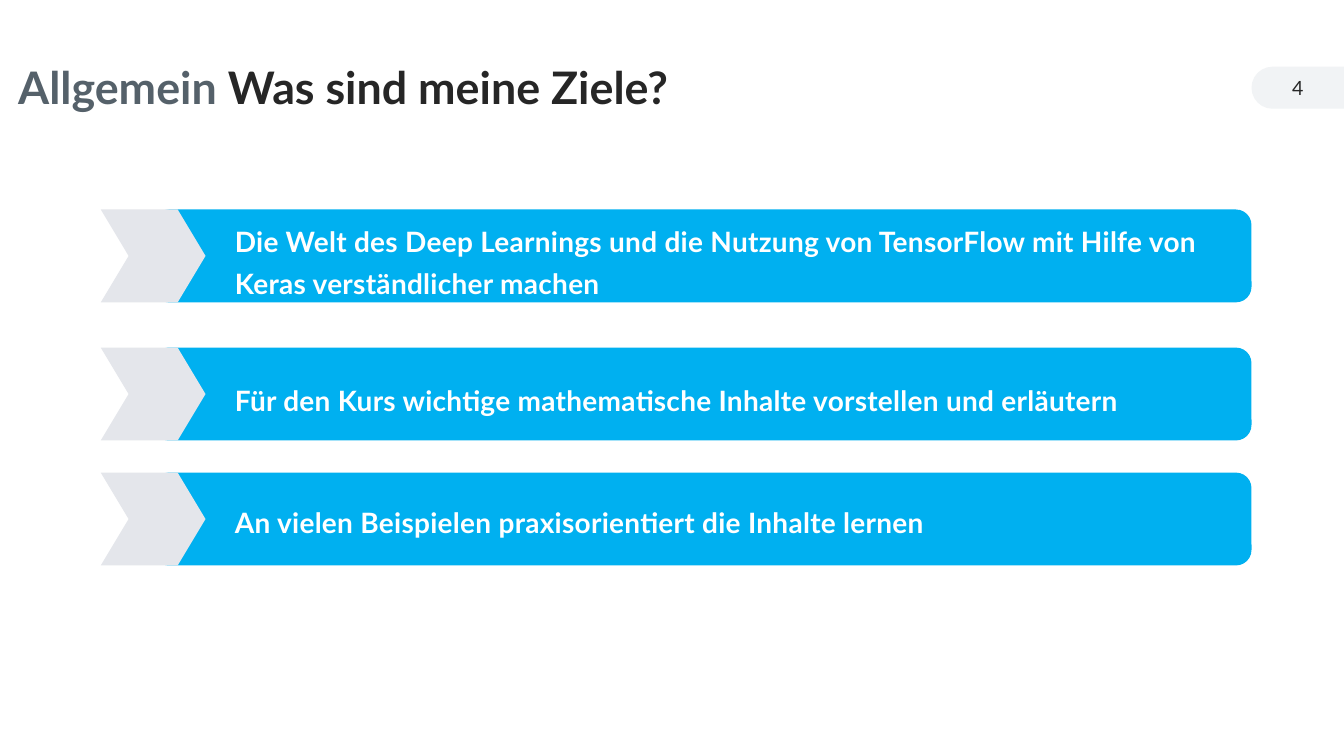
import pptx
import pptx.dml.color
import pptx.enum.shapes
import pptx.enum.text
import pptx.util

Cm = pptx.util.Cm
SHAPE = pptx.enum.shapes.MSO_SHAPE
ALIGN = pptx.enum.text.PP_ALIGN

COLORS = {
    "badge": "F1F3F5",
    "dark": "262626",
    "slate": "55616A",
    "bar": "00B0F0",
    "chevron": "E4E6EB",
    "white": "FFFFFF",
}
FONT = "Lato"

# (top of the row, vertical shift of its text, text), lengths in cm
GOALS = [
    (5.28, 0.05, "Die Welt des Deep Learnings und die Nutzung von TensorFlow "
                 "mit Hilfe von Keras verständlicher machen"),
    (8.76, 0.05, "Für den Kurs wichtige mathematische Inhalte vorstellen und erläutern"),
    (11.91, -0.03, "An vielen Beispielen praxisorientiert die Inhalte lernen"),
]


def rgb(name):
    return pptx.dml.color.RGBColor.from_string(COLORS[name])


def add_block(s, kind, box, color, adj):
    """Add a filled preset shape without line or shadow."""
    sp = s.shapes.add_shape(kind, *map(Cm, box))
    sp.shadow.inherit = False
    sp.fill.solid()
    sp.fill.fore_color.rgb = rgb(color)
    sp.line.fill.background()
    sp.adjustments[0] = adj
    return sp


def add_text(s, box, runs, size, bold=False, tracking=None, **paragraph_format):
    """Add a middle-anchored paragraph made of (text, color) runs."""
    tf = s.shapes.add_textbox(*map(Cm, box)).text_frame
    frame_format = {
        "word_wrap": True,
        "vertical_anchor": pptx.enum.text.MSO_ANCHOR.MIDDLE,
        "margin_left": 0, "margin_right": 0, "margin_top": 0, "margin_bottom": 0,
    }
    for name, value in frame_format.items():
        setattr(tf, name, value)
    p = tf.paragraphs[0]
    for name, value in paragraph_format.items():
        setattr(p, name, value)
    font_format = {"name": FONT, "size": pptx.util.Pt(size), "bold": bold}
    for text, color in runs:
        r = p.add_run()
        r.text = text
        for name, value in font_format.items():
            setattr(r.font, name, value)
        r.font.color.rgb = rgb(color)
        if tracking:
            r._r.get_or_add_rPr().set("spc", str(tracking))


def add_page_badge(s, left, top, width, height, number):
    """Add the page number on a tab that is rounded on its left side."""
    # The shape is placed upright around the same centre, then turned left
    shift = (width - height) / 2
    sp = add_block(s, SHAPE.ROUND_2_SAME_RECTANGLE,
                   (left + shift, top - shift, height, width), "badge", 0.5)
    sp.rotation = 270
    add_text(s, (left, top, width, height), [(number, "dark")], 14,
             alignment=ALIGN.CENTER)


def add_title(s, left, top, width, height):
    runs = [("Allgemein ", "slate"), ("Was sind meine Ziele?", "dark")]
    add_text(s, (left, top, width, height), runs, 32, bold=True, line_spacing=0.9)


def add_goal(s, left, top, width, height, text, text_shift):
    """Add a bar with its text and a chevron over its left end."""
    bar_inset, text_inset, text_width = 1.32, 3.38, 25.04
    add_block(s, SHAPE.ROUNDED_RECTANGLE,
              (left + bar_inset, top, width - bar_inset, height), "bar", 0.1667)
    add_block(s, SHAPE.CHEVRON, (left, top, 2.64, height), "chevron", 0.3)
    add_text(s, (left + text_inset, top + text_shift, text_width, height),
             [(text, "white")], 20, bold=True, tracking=20, line_spacing=1.25)


def main():
    prs = pptx.Presentation()
    prs.slide_width, prs.slide_height = Cm(33.87), Cm(19.05)
    s = prs.slides.add_slide(prs.slide_layouts[6])
    add_page_badge(s, 31.54, 1.68, 2.33, 1.06, "4")
    add_title(s, 0.46, 1.14, 21.97, 2.24)
    for top, text_shift, text in GOALS:
        add_goal(s, 2.54, top, 29, 2.34, text, text_shift)
    prs.save("out.pptx")


if __name__ == "__main__":
    main()
